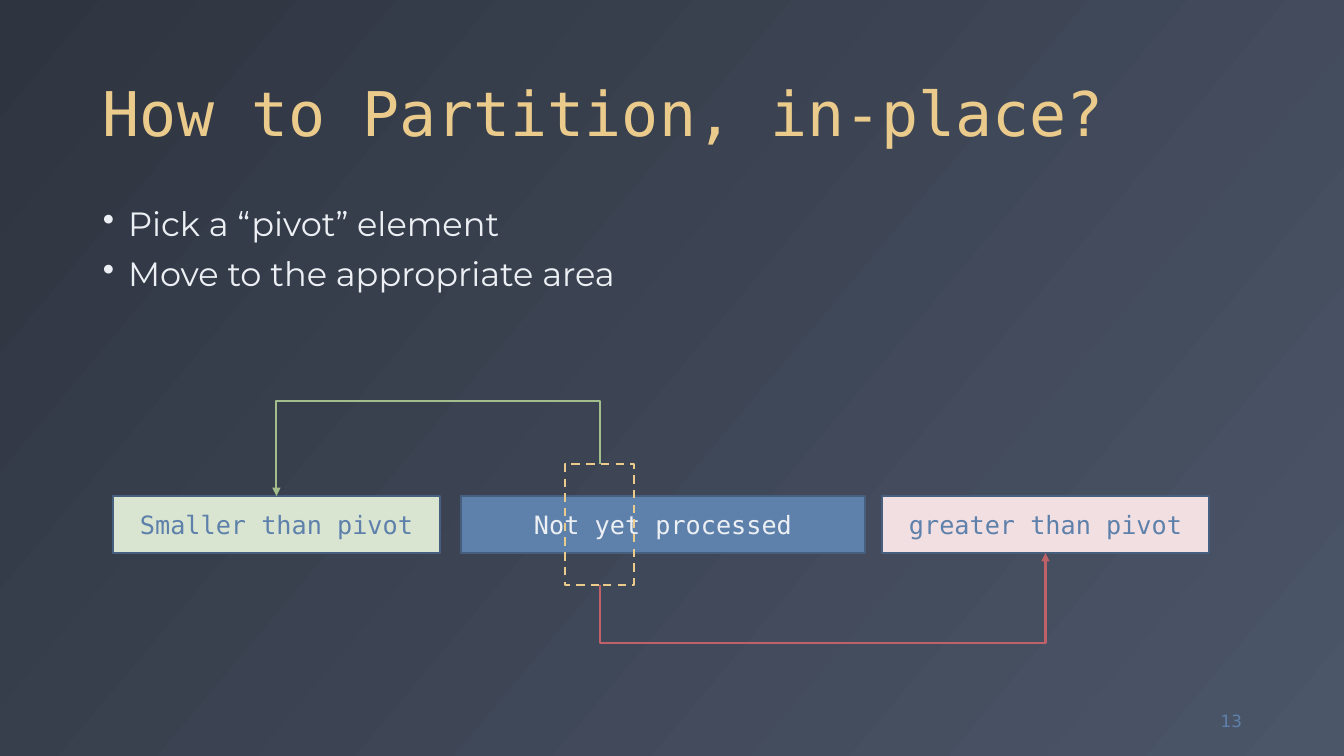
from lxml.etree import SubElement
from pptx import Presentation
from pptx.dml.color import RGBColor
from pptx.enum.dml import MSO_LINE
from pptx.enum.shapes import MSO_CONNECTOR, MSO_SHAPE
from pptx.enum.text import MSO_ANCHOR, PP_ALIGN
from pptx.oxml.ns import qn
from pptx.util import Inches, Pt

NIGHT, SLATE = RGBColor(0x2E, 0x34, 0x40), RGBColor(0x4C, 0x56, 0x69)
SNOW = RGBColor(0xEC, 0xEF, 0xF3)
BLUE, NAVY = RGBColor(0x5E, 0x81, 0xAC), RGBColor(0x46, 0x5F, 0x7F)
YELLOW = RGBColor(0xEB, 0xCB, 0x8B)
GREEN, PALE_GREEN = RGBColor(0xA3, 0xBE, 0x8C), RGBColor(0xDA, 0xE5, 0xD1)
RED, PALE_RED = RGBColor(0xBF, 0x61, 0x69), RGBColor(0xF2, 0xDF, 0xE1)
MONO, SANS, BODY = "DejaVu Sans Mono", "DejaVu Sans", "Montserrat"

TITLE = "How to Partition, in-place?"
STEPS = ["Pick a “pivot” element", "Move to the appropriate area"]
PAGE_NUMBER = "13"

# Areas of the array: label, left, width, fill, text colour
AREA_TOP, AREA_HEIGHT = 496, 57
SMALLER = ("Smaller than pivot", 113, 327, PALE_GREEN, BLUE)
GREATER = ("greater than pivot", 882, 327, PALE_RED, BLUE)
UNPROCESSED = ("Not yet processed", 461, 404, BLUE, SNOW)
ELEMENT = (565, 464, 69, 121)

# Moves of the element: start y, target area, target y, turning y, colour
ELEMENT_X = 600
MOVES = [
    (ELEMENT[1], SMALLER, AREA_TOP, 401, GREEN),
    (ELEMENT[1] + ELEMENT[3], GREATER, AREA_TOP + AREA_HEIGHT, 643, RED),
]


def px(length):
    return round(length * 914400 / 100.8)


def write(shape, lines, font, size, color, anchor, align=PP_ALIGN.LEFT):
    frame = shape.text_frame
    frame.word_wrap = True
    frame.vertical_anchor = anchor
    frame.text = "\n".join(lines)
    for paragraph in frame.paragraphs:
        paragraph.alignment = align
        run_font = paragraph.runs[0].font
        run_font.name, run_font.size = font, Pt(size)
        run_font.color.rgb = color
    return frame.paragraphs


def add_text(slide, box, *style):
    return write(slide.shapes.add_textbox(*map(px, box)), *style)


def add_box(slide, box, fill, line, width):
    rect = slide.shapes.add_shape(MSO_SHAPE.RECTANGLE, *map(px, box))
    rect.shadow.inherit = False
    if fill is None:
        rect.fill.background()
    else:
        rect.fill.solid()
        rect.fill.fore_color.rgb = fill
    rect.line.color.rgb = line
    rect.line.width = Pt(width)
    return rect


def add_bullet(paragraph):
    properties = paragraph._p.get_or_add_pPr()
    properties.set("marL", str(Inches(0.25)))
    properties.set("indent", str(-Inches(0.25)))
    SubElement(properties, qn("a:buChar")).set("char", "•")


def add_move(slide, start_y, end_x, end_y, turn_y, color):
    """Draw a bent arrow that leaves the element vertically and turns at turn_y."""
    mid_x, mid_y = (ELEMENT_X + end_x) / 2, (start_y + end_y) / 2
    # The preset runs sideways, so its box is laid out unrotated and then turned.
    half_w, half_h = abs(end_y - start_y) / 2, abs(end_x - ELEMENT_X) / 2
    arrow = slide.shapes.add_connector(
        MSO_CONNECTOR.ELBOW,
        px(mid_x + half_w), px(mid_y + half_h),
        px(mid_x - half_w), px(mid_y - half_h))
    arrow.line.color.rgb = color
    arrow.line.width = Pt(1.5)
    properties = arrow._element.spPr
    quarter_turns = 3 if turn_y < start_y else 1
    properties.find(qn("a:xfrm")).set("rot", str(quarter_turns * 90 * 60000))
    turn = round((turn_y - start_y) / (end_y - start_y) * 100000)
    guides = properties.find(qn("a:prstGeom")).get_or_add_avLst()
    guide = SubElement(guides, qn("a:gd"))
    guide.set("name", "adj1")
    guide.set("fmla", f"val {turn}")
    SubElement(properties.find(qn("a:ln")), qn("a:tailEnd")).set("type", "triangle")
    SubElement(properties, qn("a:effectLst"))


def main():
    deck = Presentation()
    deck.slide_width, deck.slide_height = px(1344), px(756)
    slide = deck.slides.add_slide(deck.slide_layouts[6])

    backdrop = slide.background.fill
    backdrop.gradient()
    backdrop.gradient_angle = 320
    for stop, color in zip(backdrop.gradient_stops, (NIGHT, SLATE)):
        stop.color.rgb = color

    title, = add_text(slide, (93, 18, 1159, 137), [TITLE], MONO, 44, YELLOW,
                      MSO_ANCHOR.BOTTOM)
    title.line_spacing = 0.9
    for step in add_text(slide, (93, 202, 571, 480), STEPS, BODY, 24, SNOW,
                         MSO_ANCHOR.TOP):
        step.line_spacing = 0.9
        step.space_before = Pt(10)
        add_bullet(step)
    add_text(slide, (1168, 701, 84, 40), [PAGE_NUMBER], SANS, 12, BLUE,
             MSO_ANCHOR.MIDDLE, PP_ALIGN.RIGHT)

    for label, left, width, fill, ink in (SMALLER, GREATER, UNPROCESSED):
        area = add_box(slide, (left, AREA_TOP, width, AREA_HEIGHT), fill, NAVY, 1)
        write(area, [label], MONO, 18, ink, MSO_ANCHOR.MIDDLE, PP_ALIGN.CENTER)

    element = add_box(slide, ELEMENT, None, YELLOW, 1.5)
    element.line.dash_style = MSO_LINE.DASH

    for start_y, (_, left, width, *_), end_y, turn_y, color in MOVES:
        add_move(slide, start_y, left + width / 2, end_y, turn_y, color)

    deck.save("out.pptx")


if __name__ == "__main__":
    main()
